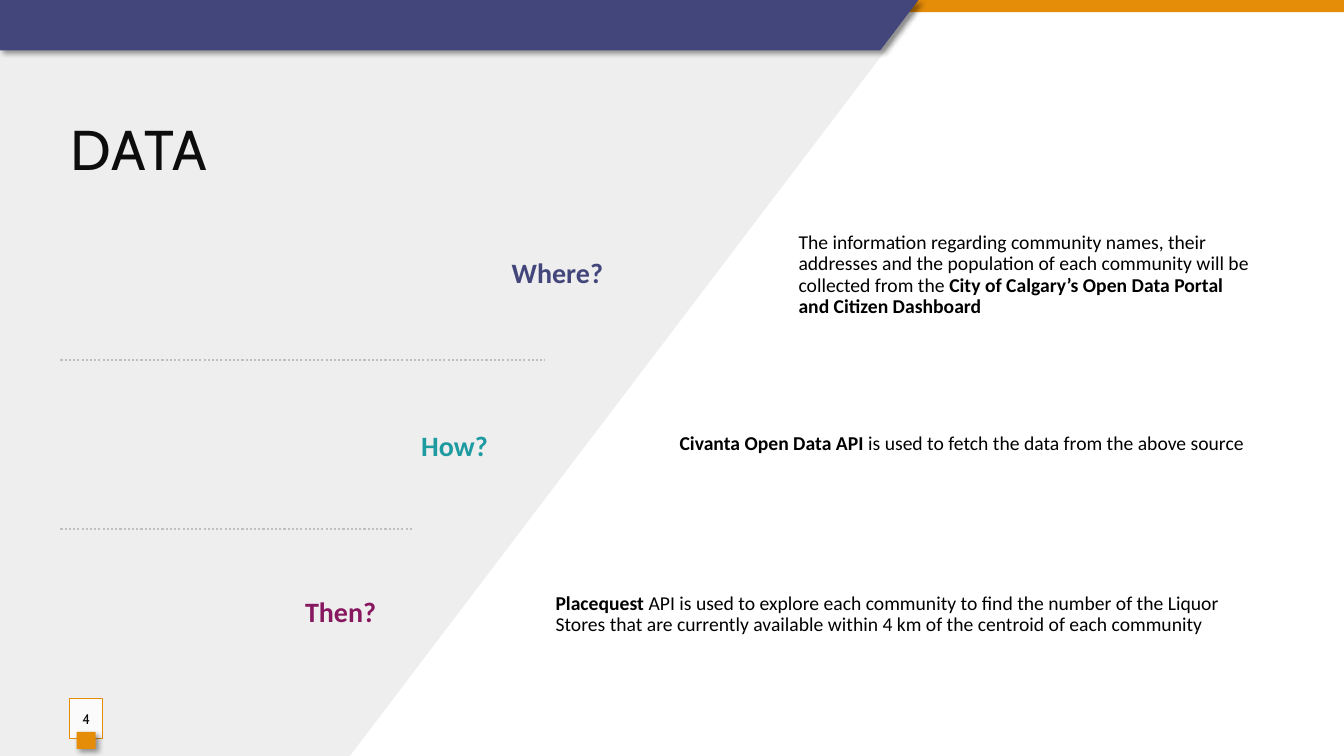
from dataclasses import dataclass

from lxml import etree
from pptx import Presentation, util as u
from pptx.dml.color import RGBColor
from pptx.enum import dml, shapes, text
from pptx.oxml import ns


@dataclass(frozen=True)
class Theme:
    heading_font: str = "Cabin"
    body_font: str = "Calibri"
    title_size: int = 40
    label_size: int = 20
    body_size: int = 14
    number_size: int = 10
    ink: str = "0D0D0D"
    black: str = "000000"
    white: str = "FFFFFF"
    panel: str = "EEEEEE"
    orange: str = "E58C09"
    indigo: str = "43467B"
    teal: str = "1D9BA1"
    plum: str = "87175F"
    rule: str = "BFBFBF"


THEME = Theme()
RIGHT_EDGE = 12.54

# label, colour, label box (left, top, right), description left and top, (text, bold) runs
ROWS = [
    ("Where?", THEME.indigo, (0.68, 2.49, 6.08), (7.82, 2.23),
     [("The information regarding community names, their addresses and the "
       "population of each community will be collected from the ", False),
      ("City of Calgary’s Open Data Portal and Citizen Dashboard", True)]),
    ("How? ", THEME.teal, (0.6, 4.21, 5.0), (6.64, 3.91),
     [("Civanta Open Data API", True),
      (" is used to fetch the data from the above source", False)]),
    ("Then?", THEME.plum, (0.6, 5.86, 3.83), (5.41, 5.6),
     [("Placequest", True),
      (" API is used to explore each community to find the number of the Liquor "
       "Stores that are currently available within 4 km of the centroid of each "
       "community", False)]),
]


def place(shape, left, top, width, height):
    shape.left, shape.top = u.Inches(left), u.Inches(top)
    shape.width, shape.height = u.Inches(width), u.Inches(height)


def add_effects(shape, shadow=False):
    """Give a shape an explicit effect list, empty or with a soft drop shadow."""
    effects = etree.SubElement(shape._element.spPr, ns.qn("a:effectLst"))
    if shadow:
        outer = etree.SubElement(effects, ns.qn("a:outerShdw"), blurRad=str(u.Pt(4)),
                                 dist=str(u.Pt(3)), dir="2700000", algn="tl", rotWithShape="0")
        color = etree.SubElement(outer, ns.qn("a:srgbClr"), val=THEME.black)
        etree.SubElement(color, ns.qn("a:alpha"), val="40000")


def paint(shape, fill, shadow=False):
    shape.fill.solid()
    shape.fill.fore_color.rgb = RGBColor.from_string(fill)
    shape.line.fill.background()
    add_effects(shape, shadow)
    return shape


def add_rectangle(slide, left, top, width, height, fill, shadow=False):
    shape = slide.shapes.add_shape(shapes.MSO_SHAPE.RECTANGLE, u.Inches(left), u.Inches(top),
                                   u.Inches(width), u.Inches(height))
    return paint(shape, fill, shadow)


def add_outline(slide, points, fill, shadow=False):
    first, *others = [(u.Inches(x), u.Inches(y)) for x, y in points]
    builder = slide.shapes.build_freeform(*first)
    builder.add_line_segments(others, close=True)
    return paint(builder.convert_to_shape(), fill, shadow)


def add_dotted_rule(slide, left, right, top):
    line = slide.shapes.add_connector(shapes.MSO_CONNECTOR.STRAIGHT, u.Inches(left),
                                      u.Inches(top), u.Inches(right), u.Inches(top))
    line.line.color.rgb = RGBColor.from_string(THEME.rule)
    line.line.width = u.Pt(1.5)
    line.line.dash_style = dml.MSO_LINE.ROUND_DOT
    add_effects(line)


def write_text(shape, runs, *, size, color, font=THEME.body_font,
               align=text.PP_ALIGN.LEFT, line_spacing=1.0, tracking=0):
    """Fill a shape with one unbulleted paragraph of (text, bold) runs."""
    frame = shape.text_frame
    frame.word_wrap = True
    frame.auto_size = text.MSO_AUTO_SIZE.NONE
    frame.vertical_anchor = text.MSO_ANCHOR.MIDDLE
    paragraph = frame.paragraphs[0]
    properties = paragraph._p.get_or_add_pPr()
    properties.set("marL", "0")
    properties.set("indent", "0")
    etree.SubElement(properties, ns.qn("a:buNone"))
    paragraph.alignment = align
    paragraph.line_spacing = line_spacing
    paragraph.space_before = u.Pt(0)
    for words, bold in runs:
        run = paragraph.add_run()
        run.text = words
        run.font.name, run.font.size, run.font.bold = font, u.Pt(size), bold
        run.font.color.rgb = RGBColor.from_string(color)
        if tracking:
            run._r.get_or_add_rPr().set("spc", str(tracking * 100))


def add_backdrop(slide):
    add_outline(slide, [(0, 0), (9.11, 0), (9.11, 0.07), (3.47, 7.5), (0, 7.5)], THEME.panel)
    add_rectangle(slide, 0, 0, 13.33, 0.12, THEME.orange)
    add_outline(slide, [(0, 0), (9.11, 0), (8.73, 0.5), (0, 0.5)], THEME.indigo, shadow=True)


def add_row(slide, description, row):
    label, color, (left, top, right), (body_left, body_top), runs = row
    place(description, body_left, body_top, RIGHT_EDGE - body_left, 1)
    write_text(description, runs, size=THEME.body_size, color=THEME.black, line_spacing=0.9)
    label_box = slide.shapes.add_textbox(u.Inches(left), u.Inches(top),
                                         u.Inches(right - left), u.Inches(0.46))
    write_text(label_box, [(label, True)], size=THEME.label_size, color=color,
               align=text.PP_ALIGN.RIGHT, line_spacing=0.9)


def add_page_number(slide, number):
    badge = add_rectangle(slide, 0.69, 6.93, 0.33, 0.4, THEME.white)
    fill_color = badge._element.spPr.find(ns.qn("a:solidFill"))[0]
    etree.SubElement(fill_color, ns.qn("a:alpha"), val="82000")
    badge.line.color.rgb = RGBColor.from_string(THEME.orange)
    badge.line.width = u.Pt(0.75)
    badge.text_frame.margin_left = badge.text_frame.margin_right = 0
    write_text(badge, [(number, False)], size=THEME.number_size, color=THEME.ink,
               font=THEME.heading_font, align=text.PP_ALIGN.CENTER)
    add_rectangle(slide, 0.76, 7.26, 0.19, 0.17, THEME.orange, shadow=True)


def main():
    presentation = Presentation()
    presentation.slide_width, presentation.slide_height = u.Inches(13.33), u.Inches(7.5)
    slide = presentation.slides.add_slide(presentation.slide_layouts.get_by_name("Comparison"))
    title, *bodies = slide.placeholders

    # Backdrop, kept behind the placeholders
    add_backdrop(slide)
    for placeholder in (title, *bodies):
        slide.shapes._spTree.append(placeholder._element)

    # Title
    place(title, 0.6, 1.08, 11.82, 0.77)
    write_text(title, [("DATA", False)], size=THEME.title_size, color=THEME.ink,
               font=THEME.heading_font, tracking=1)

    # Questions and answers
    for description, row in zip(bodies, ROWS):
        add_row(slide, description, row)
    for unused in bodies[len(ROWS):]:
        slide.shapes._spTree.remove(unused._element)

    # Dividers and page number
    add_dotted_rule(slide, 0.6, 5.4, 3.57)
    add_dotted_rule(slide, 0.6, 4.1, 5.25)
    add_page_number(slide, "4")

    presentation.save("out.pptx")


if __name__ == "__main__":
    main()
